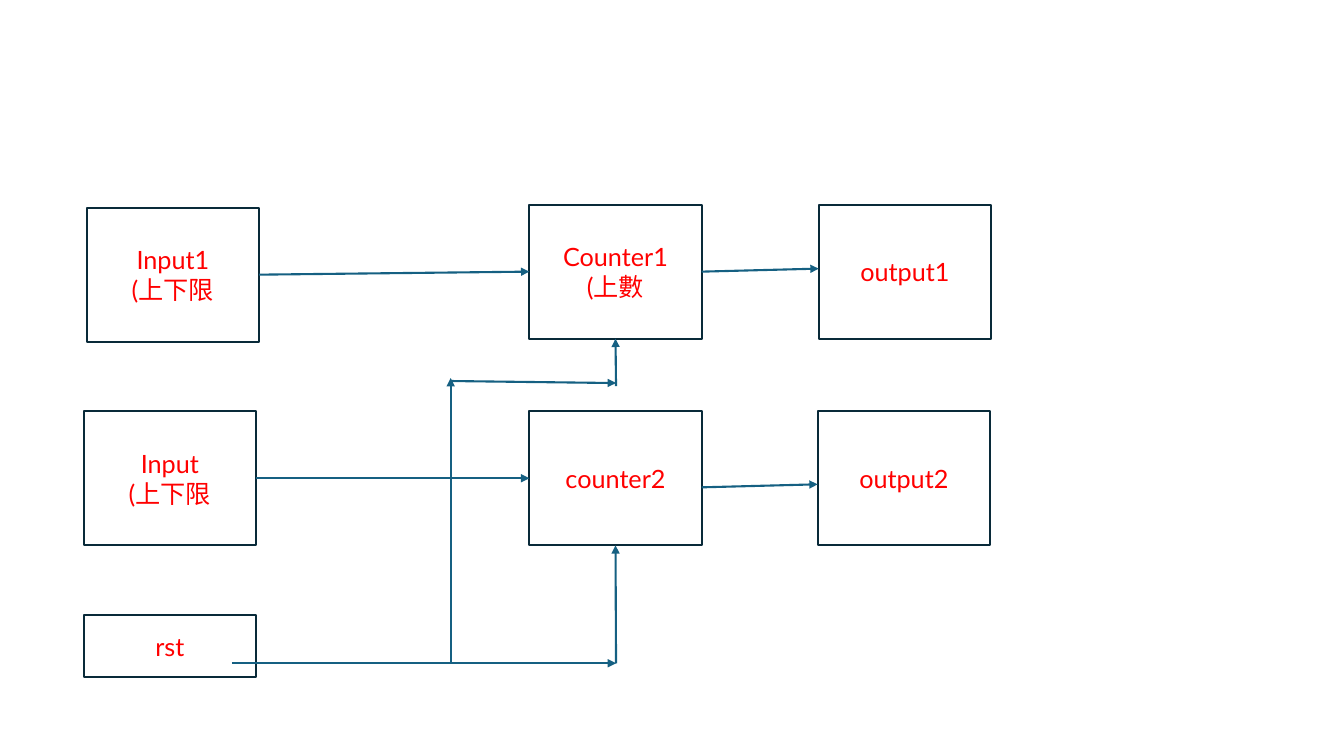
from pptx import Presentation
from pptx.dml.color import RGBColor
from pptx.enum.shapes import MSO_CONNECTOR as LINE, MSO_SHAPE as SHAPE
from pptx.enum.text import MSO_ANCHOR as ANCHOR, PP_ALIGN as ALIGN
from pptx.oxml.ns import qn
from pptx.util import Inches, Pt
from lxml.etree import SubElement

WHITE = RGBColor(0xFF, 0xFF, 0xFF)
RED = RGBColor(0xFF, 0x00, 0x00)
NAVY = RGBColor(0x09, 0x2A, 0x39)
TEAL = RGBColor(0x15, 0x60, 0x82)
TOP, LEFT, BOTTOM, RIGHT = range(4)
WIDE, HIGH = 1.71, 1.33


def write(shape, text, font="Lato", size=18, color=RED):
    frame = shape.text_frame
    frame.word_wrap = True
    frame.vertical_anchor = ANCHOR.MIDDLE
    frame.text = text
    for para in frame.paragraphs:
        para.alignment = ALIGN.CENTER
        for run in para.runs:
            run.font.name = font
            run.font.size = Pt(size)
            run.font.color.rgb = color


def add_box(slide, text, left, top, high=HIGH):
    box = slide.shapes.add_shape(
        SHAPE.RECTANGLE, Inches(left), Inches(top), Inches(WIDE), Inches(high))
    box.shadow.inherit = False
    box.fill.solid()
    box.fill.fore_color.rgb = WHITE
    box.line.color.rgb = NAVY
    box.line.width = Pt(1.5)
    write(box, text)
    return box


def add_arrow(slide, start=(0, 0), end=(0, 0), tail=None, head=None):
    """Draw from start to end; tail and head are (box, side) joins."""
    arrow = slide.shapes.add_connector(
        LINE.STRAIGHT, *(Inches(v) for v in (*start, *end)))
    if tail:
        arrow.begin_connect(*tail)
    if head:
        arrow.end_connect(*head)
    arrow.line.color.rgb = TEAL
    arrow.line.width = Pt(1.5)
    SubElement(arrow.line._get_or_add_ln(), qn("a:tailEnd"), type="triangle")
    SubElement(arrow._element.spPr, qn("a:effectLst"))


def add_row(slide, top, names, lefts, drop=0):
    """Place input, counter and output; drop lowers the output arrow."""
    source, count, out = (
        add_box(slide, name, left, top + shift)
        for name, (left, shift) in zip(names, lefts))
    add_arrow(slide, tail=(source, RIGHT), head=(count, LEFT))
    start, end = lefts[1][0] + WIDE, lefts[2][0]
    mid = top + HIGH / 2 + drop
    add_arrow(slide, (start, mid), (end, mid - 0.03),
              tail=None if drop else (count, RIGHT))
    return count


def add_reset(slide, left, top, upper, lower):
    """Place the reset box and its lines to both counters."""
    add_box(slide, "rst", left, top, 0.62)
    fork, stem, base, turn = left + 3.64, left + 5.28, top + 0.48, top - 2.32
    add_arrow(slide, (left + 1.47, base), (stem, base))
    add_arrow(slide, (stem, base), head=(lower, BOTTOM))
    add_arrow(slide, (fork, base), (fork, turn - 0.03))
    add_arrow(slide, (fork, turn), (stem, turn + 0.02))
    add_arrow(slide, (stem, turn + 0.05), head=(upper, BOTTOM))


def main():
    deck = Presentation()
    deck.slide_width, deck.slide_height = Inches(13.33), Inches(7.5)
    slide = deck.slides.add_slide(deck.slide_layouts[6])
    upper = add_row(slide, 2.03, ("Input1\n(上下限", "Counter1\n(上數", "output1"),
                    ((0.86, 0.03), (5.25, 0), (8.12, 0)))
    lower = add_row(slide, 4.08, ("Input\n(上下限", "counter2", "output2"),
                    ((0.83, 0), (5.25, 0), (8.11, 0)), drop=0.09)
    add_reset(slide, 0.83, 6.1, upper, lower)
    deck.save("out.pptx")


if __name__ == "__main__":
    main()
